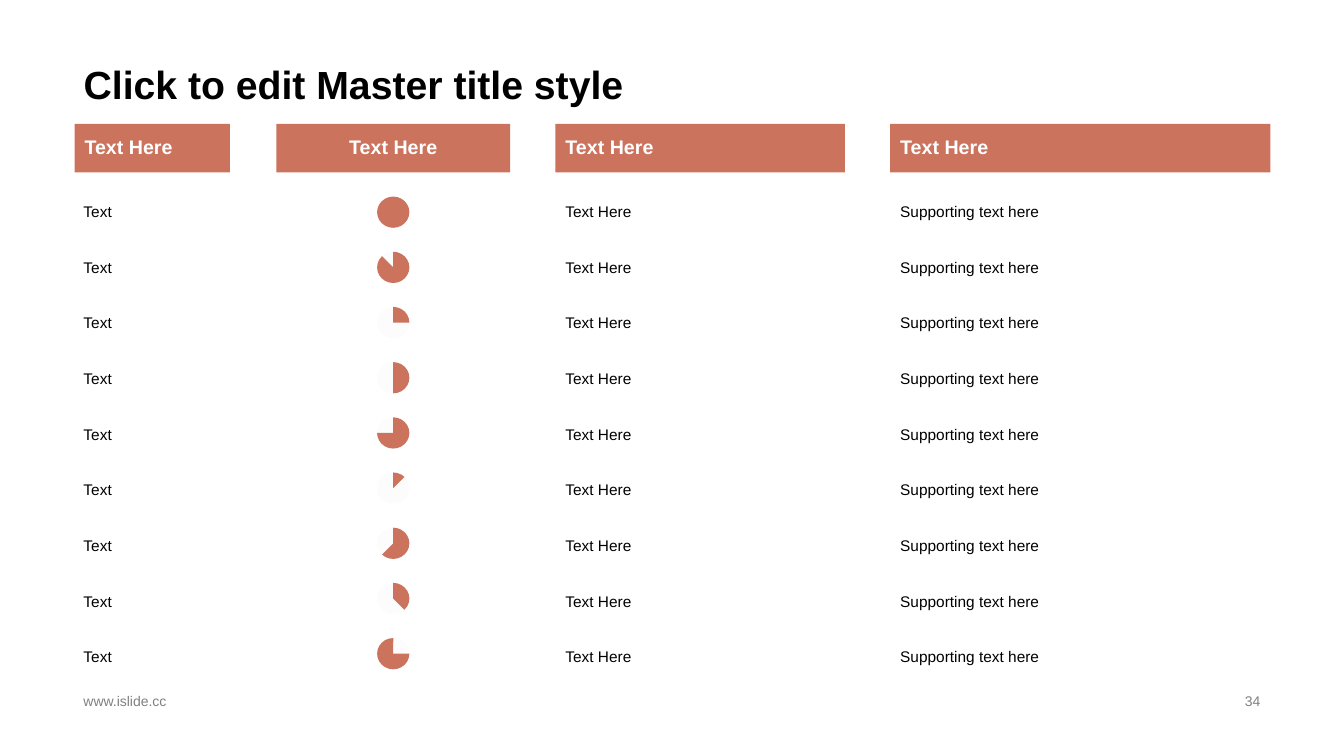
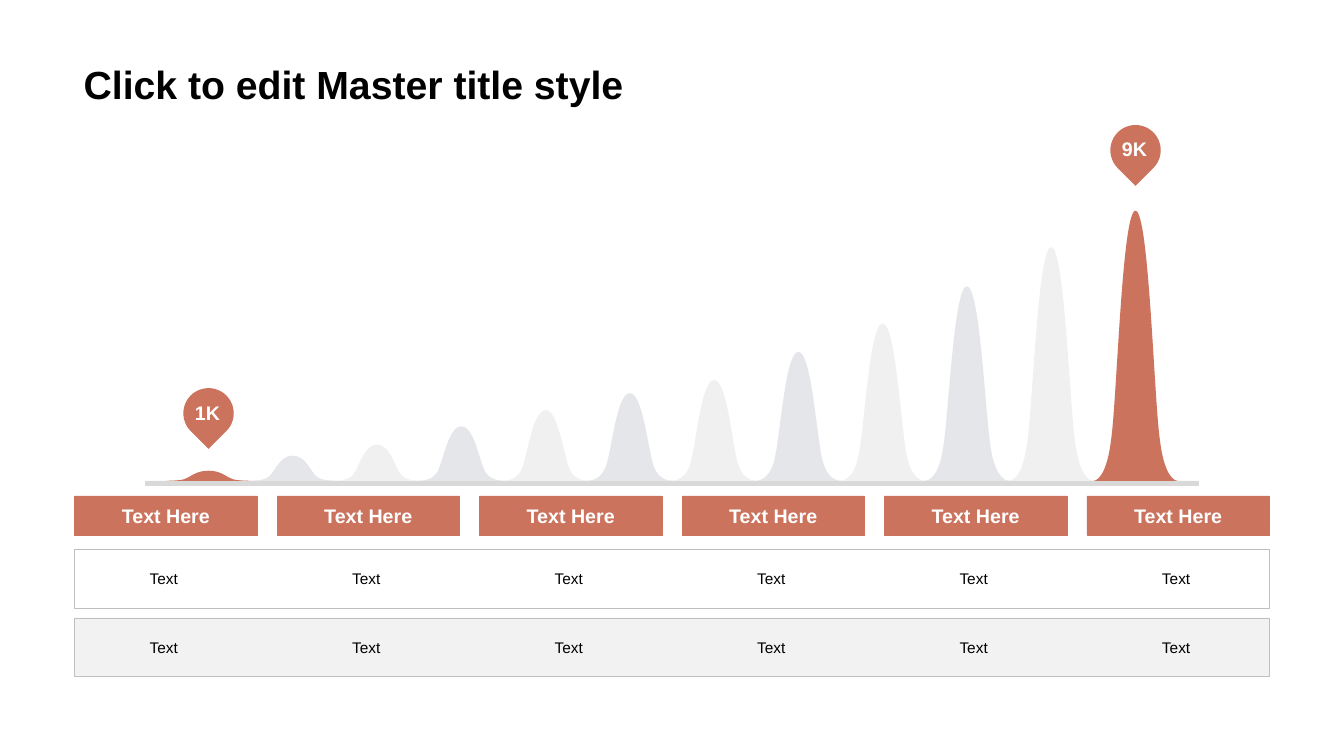
import dataclasses
import lxml.etree
import pptx
import pptx.util
import pptx.dml.color
import pptx.enum.shapes
import pptx.enum.text
import pptx.oxml.ns

SHAPE = pptx.enum.shapes.MSO_SHAPE
ALIGN = pptx.enum.text.PP_ALIGN
ANCHOR = pptx.enum.text.MSO_ANCHOR
inch = pptx.util.Inches
qn = pptx.oxml.ns.qn


@dataclasses.dataclass(frozen=True)
class Theme:
    font: str = "Arial"
    accent: str = "CC735E"
    ink: str = "000000"
    paper: str = "FFFFFF"
    muted: str = "808080"
    dial: str = "FCFCFC"
    axis: str = "D9D9D9"
    peak_cool: str = "E4E6EA"
    peak_light: str = "F0F0F0"
    band: str = "F2F2F2"
    border: str = "BFBFBF"
    title_size: int = 28
    head_size: int = 14
    body_size: int = 11
    foot_size: int = 10
    hairline: float = 0.25


THEME = Theme()
SLIDE_W, SLIDE_H = 13.33, 7.5
TEXT_LEFT, TEXT_W = 0.73, 11.87
MARGIN, CONTENT_W = 0.74, 11.85


@dataclasses.dataclass(frozen=True)
class Box:
    left: float
    top: float
    width: float
    height: float

    def emu(self):
        return [inch(v) for v in (self.left, self.top, self.width, self.height)]


def rgb(color):
    return pptx.dml.color.RGBColor.from_string(color)


def write(frame, words, size, color, bold=False, align=ALIGN.LEFT,
          anchor=ANCHOR.MIDDLE, spacing=None):
    """Put one formatted run into a text frame."""
    frame.word_wrap = True
    frame.auto_size = pptx.enum.text.MSO_AUTO_SIZE.NONE
    frame.vertical_anchor = anchor
    paragraph = frame.paragraphs[0]
    paragraph.alignment = align
    paragraph.line_spacing = spacing
    run = paragraph.add_run()
    run.text = words
    run.font.name = THEME.font
    run.font.size = pptx.util.Pt(size)
    run.font.bold = bold
    run.font.color.rgb = rgb(color)


def paint(shape, fill=None, line=None):
    shape.shadow.inherit = False
    if fill:
        shape.fill.solid()
        shape.fill.fore_color.rgb = rgb(fill)
    else:
        shape.fill.background()
    if line:
        shape.line.color.rgb = rgb(line)
        shape.line.width = pptx.util.Pt(THEME.hairline)
    else:
        shape.line.fill.background()
    return shape


def add_shape(slide, kind, box, fill=None, line=None):
    return paint(slide.shapes.add_shape(kind, *box.emu()), fill, line)


def add_text(slide, box, words, size=THEME.body_size, color=THEME.ink, **style):
    write(slide.shapes.add_textbox(*box.emu()).text_frame, words, size, color, **style)


def add_header(slide, box, words, align=ALIGN.LEFT, line=None, spacing=None):
    bar = add_shape(slide, SHAPE.RECTANGLE, box, THEME.accent, line)
    write(bar.text_frame, words, THEME.head_size, THEME.paper, bold=True,
          align=align, spacing=spacing)


def add_titled_slide(deck, words):
    slide = deck.slides.add_slide(deck.slide_layouts.get_by_name("Title Only"))
    title = slide.shapes.title
    title.left, title.top, title.width, title.height = Box(
        TEXT_LEFT, 0, TEXT_W, 0.15 * SLIDE_H).emu()
    write(title.text_frame, words, THEME.title_size, THEME.ink, bold=True,
          anchor=ANCHOR.BOTTOM, spacing=0.9)
    return slide


def add_footer(slide, box, site, number):
    site_w, number_w = 4.53, 3.18
    add_text(slide, Box(box.left, box.top, site_w, box.height), site,
             THEME.foot_size, THEME.muted)
    add_text(slide, Box(box.left + box.width - number_w, box.top, number_w, box.height),
             number, THEME.foot_size, THEME.muted, align=ALIGN.RIGHT)


# Rating list: headed columns, one of them made of dials
TOP_ANGLE = 270
ROW_COUNT = 9
# Start angle and filled share of each dial
DIALS = [(TOP_ANGLE, share / 8) for share in (8, 7, 2, 4, 6, 1, 5, 3)] + [(0, 6 / 8)]


def add_dial(slide, box, start, share):
    if share < 1:
        add_shape(slide, SHAPE.OVAL, box, THEME.dial)
    sector = add_shape(slide, SHAPE.PIE, box, THEME.accent)
    for index, angle in enumerate((start, (start + 360 * share) % 360)):
        sector.adjustments[index] = angle * 0.6  # 60000 units a degree, in 100000ths


def add_rating_list(slide, box):
    header_h, row_h = 0.48, 0.31
    # Offset, outdent of the rows, width and row text of each column
    columns = ((0, 0.01, 1.54, "Text"), (2, 0, 2.32, None), (4.77, 0, 2.87, "Text Here"),
               (8.09, 0, 3.77, "Supporting text here"))
    first = box.top + 0.71
    pitch = (box.top + box.height - row_h - first) / (ROW_COUNT - 1)
    dial_w, dial_pitch = 0.32, pitch - 0.005
    for offset, outdent, width, words in columns:
        left = box.left + offset
        add_header(slide, Box(left, box.top, width, header_h), "Text Here",
                   align=ALIGN.LEFT if words else ALIGN.CENTER, spacing=0.9)
        for row, dial in enumerate(DIALS):
            if words:
                add_text(slide, Box(left - outdent, first + row * pitch, width, row_h),
                         words)
            else:
                place = Box(left + (width - dial_w) / 2,
                            first + 0.01 + row * dial_pitch, dial_w, row_h)
                add_dial(slide, place, *dial)


# Peak chart: bell outlines on a common base
PEAK_HEIGHTS = (0.1, 0.25, 0.36, 0.54, 0.7, 0.87, 1, 1.28, 1.56, 1.93, 2.32, 2.68)
# Bell as shares of its width and height: two controls and an end for each curve
BELL_RISE = [(0.01, 0), (0.15, 0), (0.21, 0.15), (0.28, 0.3), (0.34, 1), (0.5, 1)]
BELL_FALL = [(1 - x, y) for x, y in BELL_RISE[-2::-1]] + [(1, 0)]
BELL = BELL_RISE + BELL_FALL


def add_peak(slide, box, fill):
    knots = [(1, 0), (0, 0)] + BELL[2::3]
    outline = [(inch(box.left + x * box.width), inch(box.top + (1 - y) * box.height))
               for x, y in knots]
    builder = slide.shapes.build_freeform(*outline[0])
    builder.add_line_segments(outline[1:], close=True)
    peak = paint(builder.convert_to_shape(), fill)
    # Bend every side but the base
    sides = list(peak._element.iter(qn("a:lnTo")))[1:5]
    for index, side in enumerate(sides):
        curve = lxml.etree.SubElement(side.getparent(), qn("a:cubicBezTo"))
        side.getparent().replace(side, curve)
        for x, y in BELL[3 * index:3 * index + 3]:
            point = lxml.etree.SubElement(curve, qn("a:pt"))
            point.set("x", str(round(x * peak.width)))
            point.set("y", str(round((1 - y) * peak.height)))


def add_pin(slide, center, top, words):
    size, nudge = 0.5, 0.01
    add_shape(slide, SHAPE.TEAR, Box(center - size / 2, top, size, size),
              THEME.accent).rotation = 135
    add_text(slide, Box(center - size / 2 - nudge, top - nudge, size, size), words,
             THEME.head_size, THEME.paper, bold=True, align=ALIGN.CENTER)


def add_peak_chart(slide, box):
    base_h, side = 0.05, 0.21
    base = box.top + box.height - base_h
    peak_w = (box.width - 2 * side) / len(PEAK_HEIGHTS)
    add_shape(slide, SHAPE.RECTANGLE, Box(box.left, base, box.width, base_h), THEME.axis)
    last = len(PEAK_HEIGHTS) - 1
    for index, height in enumerate(PEAK_HEIGHTS):
        fill = (THEME.peak_light, THEME.peak_cool)[index % 2]
        if index in (0, last):
            fill = THEME.accent
        left = box.left + side + index * peak_w
        add_peak(slide, Box(left, base - height, peak_w, height), fill)
    # Pins over the first and last peaks
    for index, drop, words in ((0, 2.61, "1K"), (last, 0, "9K")):
        center = box.left + side + (index + 0.5) * peak_w
        add_pin(slide, center, box.top + drop, words)


# Banded rows under a line of column headers
def add_banded_rows(slide, box, column_count=6):
    header_w, header_h, band_h, text_h = 1.81, 0.39, 0.58, 0.48
    pitch = (box.width - header_w) / (column_count - 1)
    lefts = [box.left + i * pitch for i in range(column_count)]
    for left in lefts:
        add_header(slide, Box(left, box.top, header_w, header_h), "Text Here",
                   align=ALIGN.CENTER, line=THEME.accent)
    for drop, fill in ((0.53, None), (1.21, THEME.band)):
        top = box.top + drop
        add_shape(slide, SHAPE.RECTANGLE, Box(box.left, top, box.width, band_h),
                  fill, THEME.border)
        for left in lefts:
            add_text(slide, Box(left - 0.02, top + (band_h - text_h) / 2, header_w, text_h),
                     "Text", align=ALIGN.CENTER)


def main():
    deck = pptx.Presentation()
    deck.slide_width, deck.slide_height = inch(SLIDE_W), inch(SLIDE_H)
    title = "Click to edit Master title style"

    ratings = add_titled_slide(deck, title)
    add_rating_list(ratings, Box(MARGIN, 1.23, CONTENT_W, 5.44))
    add_footer(ratings, Box(TEXT_LEFT, 6.84, TEXT_W, 0.23), "www.islide.cc", "34")

    growth = add_titled_slide(deck, title)
    add_peak_chart(growth, Box(1.44, 1.24, 10.45, 3.58))
    add_banded_rows(growth, Box(MARGIN, 4.92, CONTENT_W, 1.79))

    deck.save("out.pptx")


if __name__ == "__main__":
    main()
